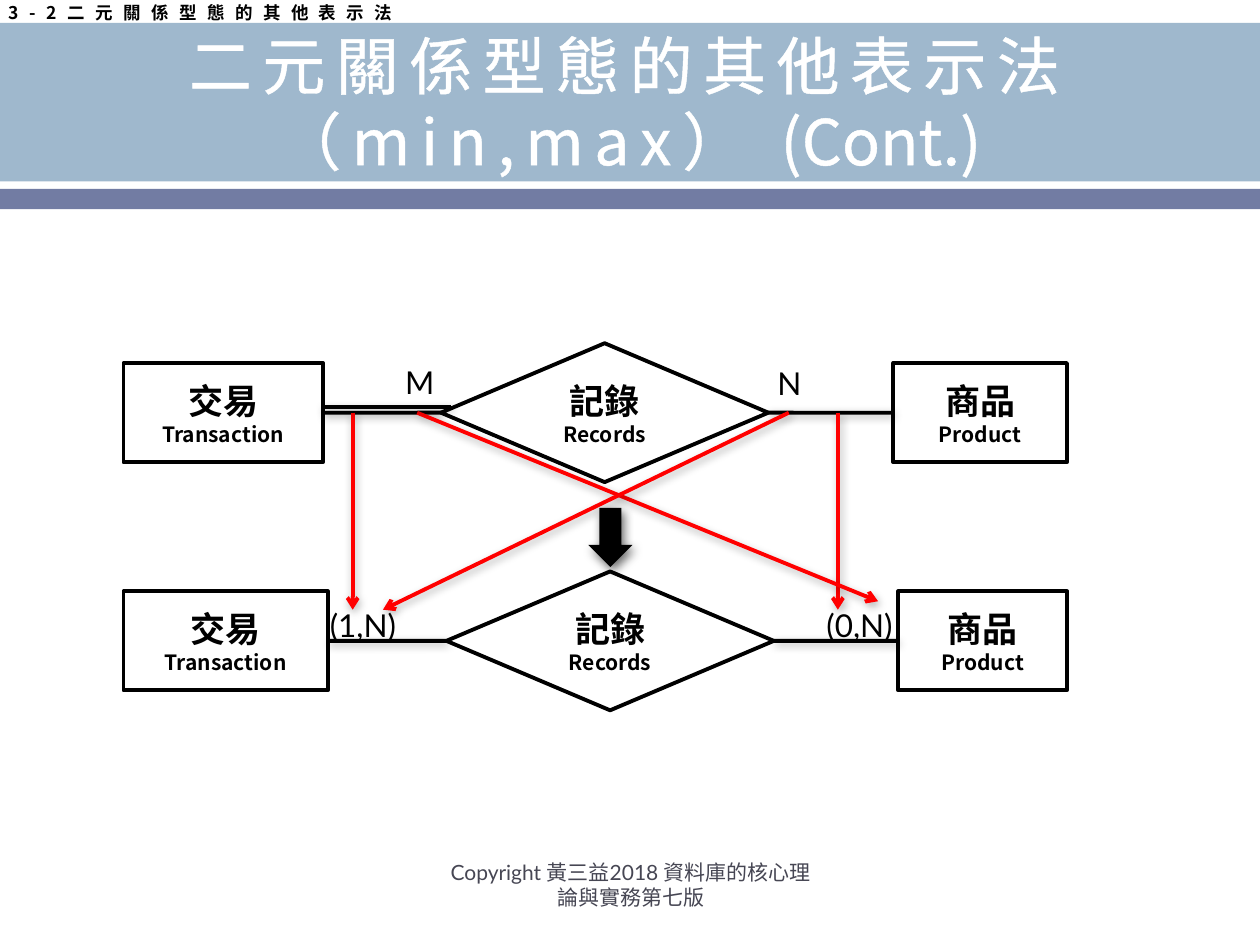
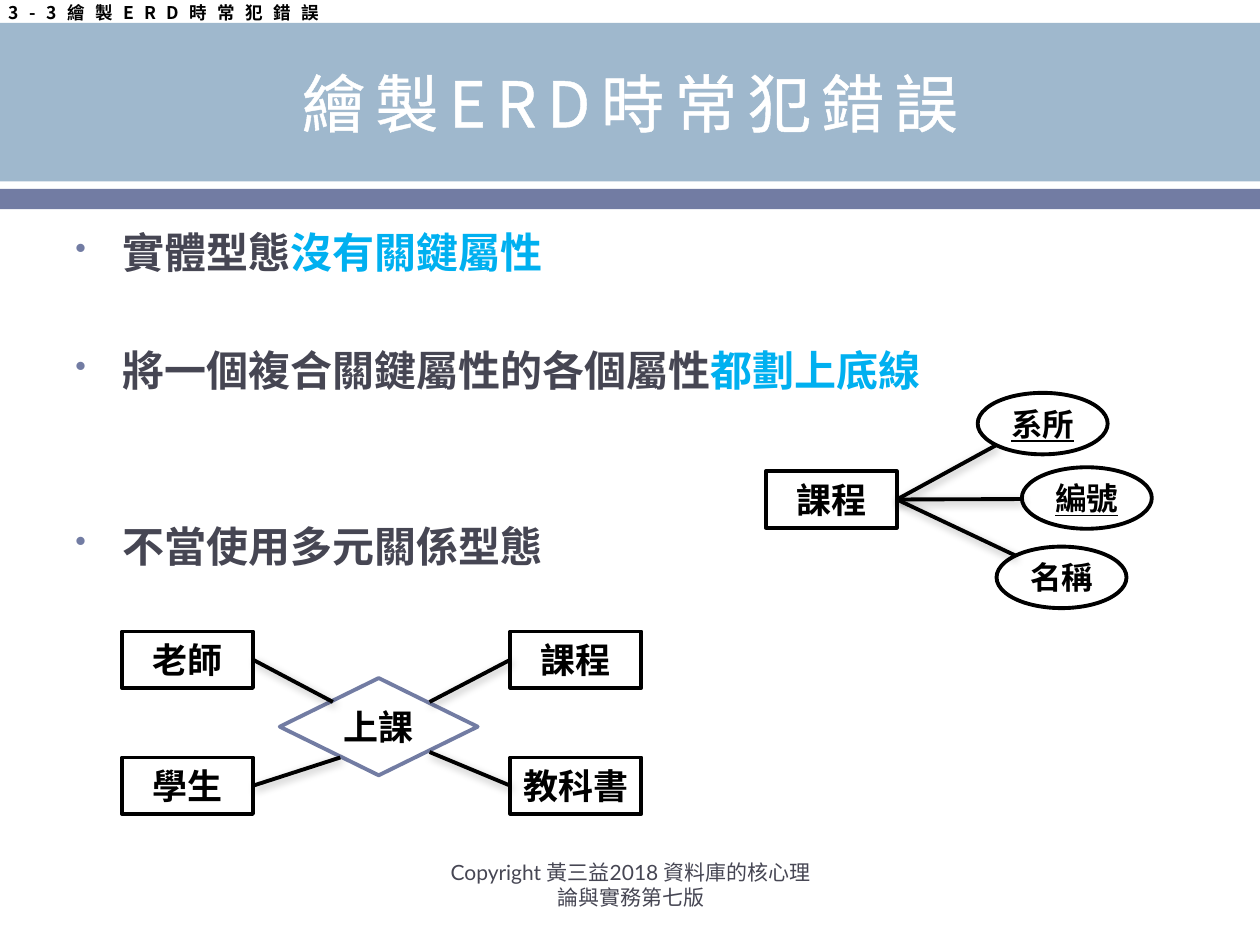
"""Build two slides on entity-relationship diagrams: (min,max) notation and common ERD mistakes."""
from lxml import etree
from pptx import Presentation
from pptx.dml.color import RGBColor
from pptx.enum import shapes, text
from pptx.oxml import ns
from pptx.util import Cm, Pt

BLACK = RGBColor(0x00, 0x00, 0x00)
WHITE = RGBColor(0xFF, 0xFF, 0xFF)
RED = RGBColor(0xFF, 0x00, 0x00)
BAND_BLUE = RGBColor(0x9F, 0xB8, 0xCD)
ACCENT = RGBColor(0x72, 0x7C, 0xA3)
BODY_GRAY = RGBColor(0x46, 0x46, 0x53)
HIGHLIGHT = RGBColor(0x00, 0xB0, 0xF0)

CJK_FONT = "Noto Sans CJK SC"
LATIN_FONT = "Lato"
LINE_WIDTH = Pt(2.2)
COPYRIGHT = "Copyright 黃三益2018 資料庫的核心理論與實務第七版"
RECTANGLE = shapes.MSO_SHAPE.RECTANGLE
DIAMOND = shapes.MSO_SHAPE.DIAMOND
OVAL = shapes.MSO_SHAPE.OVAL
LEFT_SIDE, RIGHT_SIDE = 1, 3


def add_xml(parent, tag, **attributes):
    """Append a DrawingML element to parent."""
    element = etree.SubElement(parent, ns.qn(tag))
    for name, value in attributes.items():
        element.set(name, str(value))
    return element


def write_text(paragraph, content, size=20, color=BLACK, bold=False, underline=False,
               font=CJK_FONT, spacing=0, outline=None):
    """Add a formatted run to a paragraph."""
    run = paragraph.add_run()
    run.text = content
    run.font.size = Pt(size)
    run.font.color.rgb = color
    run.font.bold = bold
    run.font.underline = underline
    run.font.name = font
    properties = run.font._element
    add_xml(properties, "a:ea", typeface=CJK_FONT)
    if spacing:
        properties.set("spc", str(spacing * 100))
    if outline is not None:
        line = add_xml(properties, "a:ln", w=Pt(1.1))
        add_xml(add_xml(line, "a:solidFill"), "a:srgbClr", val=outline)
        properties.insert(0, line)


def add_shadow(shape, opacity=30, blur=5, distance=2):
    """Give a shape a soft outer shadow."""
    effects = add_xml(shape.element.spPr, "a:effectLst")
    shadow = add_xml(effects, "a:outerShdw", blurRad=Pt(blur), dist=Pt(distance),
                     dir=60 * 60000, rotWithShape=0)
    add_xml(add_xml(shadow, "a:srgbClr", val=BLACK), "a:alpha", val=opacity * 1000)


def add_box(slide, left, top, width, height, wrap=True):
    """Add an empty text box and return its frame."""
    frame = slide.shapes.add_textbox(Cm(left), Cm(top), Cm(width), Cm(height)).text_frame
    frame.word_wrap = wrap
    return frame


def add_filled(slide, kind, left, top, width, height, fill, line=None):
    """Add a preset shape with a plain fill and an optional outline."""
    shape = slide.shapes.add_shape(kind, Cm(left), Cm(top), Cm(width), Cm(height))
    shape.fill.solid()
    shape.fill.fore_color.rgb = fill
    if line is None:
        shape.line.fill.background()
    else:
        shape.line.color.rgb = line
        shape.line.width = LINE_WIDTH
    return shape


def add_node(slide, kind, left, top, width, height, name, english=None, line=BLACK, **style):
    """Add a diagram node with a bold name and an optional English line."""
    node = add_filled(slide, kind, left, top, width, height, WHITE, line)
    node.shadow.inherit = False
    frame = node.text_frame
    frame.word_wrap = False
    frame.vertical_anchor = text.MSO_ANCHOR.MIDDLE
    paragraph = frame.paragraphs[0]
    paragraph.alignment = text.PP_ALIGN.CENTER
    write_text(paragraph, name, bold=True, **style)
    if english:
        paragraph = frame.add_paragraph()
        paragraph.alignment = text.PP_ALIGN.CENTER
        write_text(paragraph, english, size=12, bold=True)
    return node


def add_line(slide, start=(0, 0), end=(0, 0), color=BLACK, arrow=False,
             begin_node=None, end_node=None):
    """Add a shadowed line between points or (node, side) pairs."""
    line = slide.shapes.add_connector(shapes.MSO_CONNECTOR.STRAIGHT,
                                      *(Cm(value) for value in (*start, *end)))
    if begin_node:
        line.begin_connect(*begin_node)
    if end_node:
        line.end_connect(*end_node)
    line.line.color.rgb = color
    line.line.width = LINE_WIDTH
    if arrow:
        add_xml(line.line._get_or_add_ln(), "a:tailEnd", type="arrow")
    add_shadow(line)


def add_label(slide, content, left, top, width):
    """Add a cardinality label."""
    frame = add_box(slide, left, top, width, 1.02, wrap=False)
    write_text(frame.paragraphs[0], content, size=18, font=LATIN_FONT)


def add_slide(presentation, section, title_lines):
    """Add a slide with bands, title, section heading and copyright line."""
    slide = presentation.slides.add_slide(presentation.slide_layouts[5])
    for top, height, color in ((0.46, 3.2, BAND_BLUE), (3.81, 0.41, ACCENT)):
        add_filled(slide, RECTANGLE, 0, top, 25.4, height, color).shadow.inherit = False

    title = slide.shapes.title
    slide.shapes.element.append(title.element)
    title.left, title.top, title.width, title.height = Cm(1.27), Cm(0.51), Cm(22.86), Cm(3.1)
    frame = title.text_frame
    frame.auto_size = text.MSO_AUTO_SIZE.NONE
    frame.vertical_anchor = text.MSO_ANCHOR.MIDDLE
    paragraph = frame.paragraphs[0]
    paragraph.alignment = text.PP_ALIGN.CENTER
    for index, runs in enumerate(title_lines):
        if index:
            paragraph.add_line_break()
        for content, spacing in runs:
            write_text(paragraph, content, size=36, color=WHITE, spacing=spacing, outline=WHITE)

    frame = add_box(slide, 0, 0, 8.5, 0.6, wrap=False)
    frame.margin_left, frame.margin_top = Cm(0.18), Cm(0.05)
    write_text(frame.paragraphs[0], section, size=10, bold=True, spacing=6)

    frame = add_box(slide, 8.69, 17.32, 8.05, 1.02)
    frame.vertical_anchor = text.MSO_ANCHOR.MIDDLE
    frame.paragraphs[0].alignment = text.PP_ALIGN.CENTER
    write_text(frame.paragraphs[0], COPYRIGHT, size=12, color=BODY_GRAY, font=LATIN_FONT)
    return slide


def add_relation(slide, middle, transaction_width, records_left, product_left):
    """Draw Transaction - Records - Product around a horizontal middle line."""
    left, right, height = 2.49, 21.51, 2.0
    top = middle - height / 2
    transaction = add_node(slide, RECTANGLE, left, top, transaction_width, height,
                           "交易", "Transaction")
    product = add_node(slide, RECTANGLE, product_left, top, right - product_left, height,
                       "商品", "Product")
    records = add_node(slide, DIAMOND, records_left, middle - 1.4, 6.6, 2.8, "記錄", "Records")
    add_line(slide, begin_node=(transaction, RIGHT_SIDE), end_node=(records, LEFT_SIDE))
    add_line(slide, begin_node=(records, RIGHT_SIDE), end_node=(product, LEFT_SIDE))


def build_min_max(presentation):
    """Show how M:N cardinalities map to (min,max) pairs."""
    slide = add_slide(presentation, "3-2二元關係型態的其他表示法",
                      [[("二元關係型態的其他表示法", 6)],
                       [("（min,max） ", 6), ("(Cont.)", 0)]])
    upper, lower = 8.32, 12.92
    add_relation(slide, upper, 4.02, 8.89, 18.01)
    add_relation(slide, lower, 4.12, 9.0, 18.11)
    for content, left, top, width in (("M", 7.92, 7.19, 0.97), ("N", 15.42, 7.21, 0.97),
                                      ("(1,N)", 6.4, 12.09, 1.9), ("(0,N)", 16.41, 12.09, 1.9)):
        add_label(slide, content, left, top, width)
    for start, end in ((7.11, (7.11, 12.29)), (16.89, (16.89, 12.29)),
                       (8.41, (17.7, 12.12)), (15.9, (7.72, 12.29))):
        add_line(slide, (start, upper), end, RED, arrow=True)
    arrow = add_filled(slide, shapes.MSO_SHAPE.DOWN_ARROW, 11.86, 10.24, 0.89, 1.19, BLACK)
    add_shadow(arrow, opacity=60, blur=6, distance=3)
    add_line(slide, (6.48, 8.2), (9.09, 8.2))


def add_mistakes(slide, mistakes):
    """List mistakes as bullets given as (space before, text, highlighted text)."""
    frame = add_box(slide, 1.27, 4.45, 22.86, 12.5)
    for index, (space, content, highlight) in enumerate(mistakes):
        paragraph = frame.add_paragraph() if index else frame.paragraphs[0]
        properties = paragraph._p.get_or_add_pPr()
        properties.set("marL", str(Cm(0.95)))
        properties.set("indent", str(-Cm(0.95)))
        add_xml(add_xml(properties, "a:buClr"), "a:srgbClr", val=ACCENT)
        add_xml(properties, "a:buSzPct", val=75000)
        add_xml(properties, "a:buChar", char="•")
        if space:
            paragraph.space_before = Pt(space)
        write_text(paragraph, content, size=24, color=BODY_GRAY, bold=True)
        if highlight:
            write_text(paragraph, highlight, size=24, color=HIGHLIGHT, bold=True)


def add_entity(slide, name, left, top):
    """Add a small entity rectangle."""
    return add_node(slide, RECTANGLE, left, top, 2.64, 1.14, name)


def build_mistakes(presentation):
    """List the common mistakes with two example diagrams."""
    slide = add_slide(presentation, "3-3繪製ERD時常犯錯誤", [[("繪製ERD時常犯錯誤", 6)]])
    add_mistakes(slide, [(0, "實體型態", "沒有關鍵屬性"),
                         (38.4, "將一個複合關鍵屬性的各個屬性", "都劃上底線"),
                         (71.6, "不當使用多元關係型態", None)])

    course = add_entity(slide, "課程", 15.44, 9.5)
    for name, left, top, underline, end in (("系所", 19.71, 7.92, True, (20.09, 8.97)),
                                            ("編號", 20.6, 9.42, True, (20.6, 10.06)),
                                            ("名稱", 20.09, 11.02, False, (20.47, 11.2))):
        add_node(slide, OVAL, left, top, 2.62, 1.24, name, size=18, underline=underline)
        add_line(slide, end=end, begin_node=(course, RIGHT_SIDE))

    add_node(slide, DIAMOND, 5.64, 13.67, 3.99, 1.96, "上課", line=ACCENT)
    left, right, top, bottom = 2.46, 10.29, 12.73, 15.27
    for name, x, y, side, end in (("老師", left, top, RIGHT_SIDE, (6.71, 14.15)),
                                  ("課程", right, top, LEFT_SIDE, (8.66, 14.15)),
                                  ("學生", left, bottom, RIGHT_SIDE, (6.86, 15.27)),
                                  ("教科書", right, bottom, LEFT_SIDE, (8.66, 15.16))):
        entity = add_entity(slide, name, x, y)
        add_line(slide, end=end, begin_node=(entity, side))


def main():
    """Build and save the presentation."""
    presentation = Presentation()
    presentation.slide_width, presentation.slide_height = Cm(25.4), Cm(19.05)
    build_min_max(presentation)
    build_mistakes(presentation)
    presentation.save("out.pptx")


if __name__ == "__main__":
    main()
